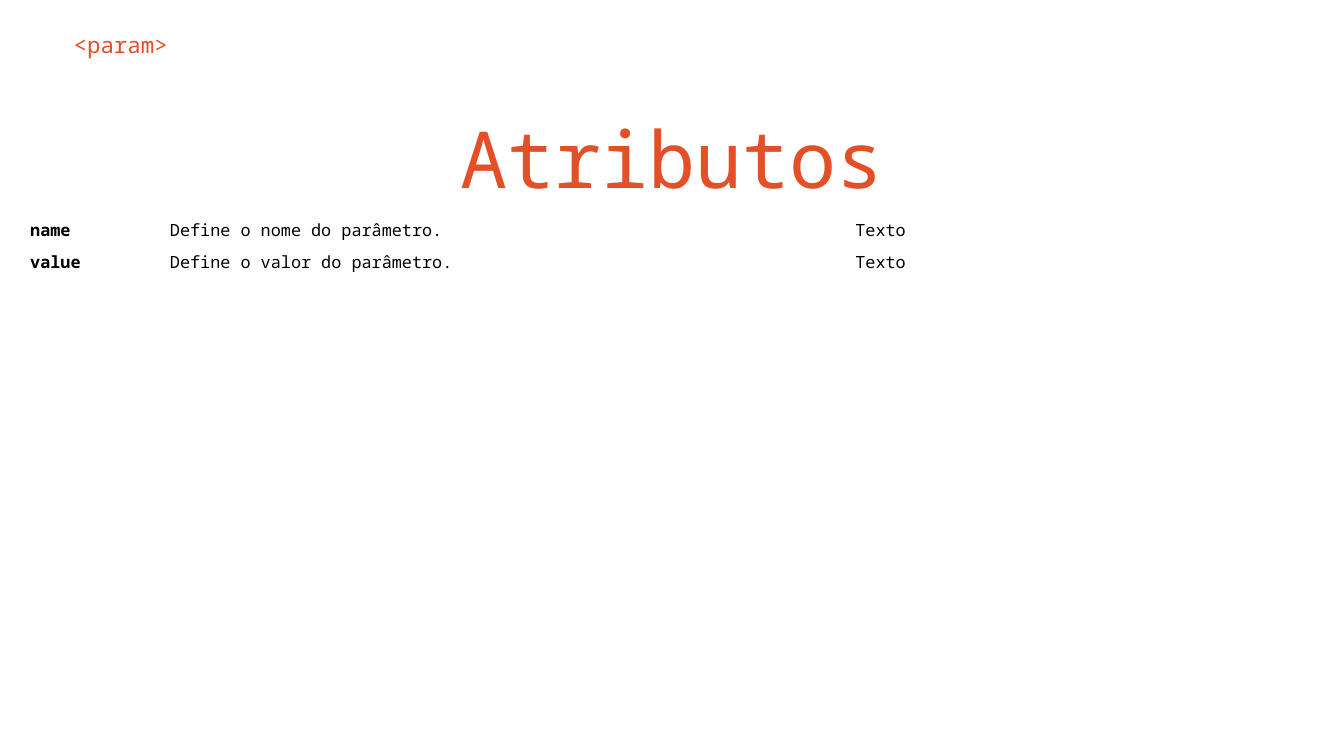
from dataclasses import dataclass

from pptx import Presentation
from pptx.dml.color import RGBColor
from pptx.enum.text import MSO_ANCHOR, PP_ALIGN
from pptx.util import Emu, Pt

PIXEL = 4572  # 200 px to the inch
FONT = "Noto Sans Mono"
COLORS = {"accent": "E34F26", "text": "000000"}


@dataclass(frozen=True)
class Heading:
    text: str
    left: int
    top: int
    width: int
    height: int
    size: int
    align: PP_ALIGN = PP_ALIGN.LEFT


@dataclass(frozen=True)
class Attribute:
    name: str
    description: str
    kind: str


HEADINGS = [
    Heading("<param>", 90, 26, 1836, 84, 12),
    Heading("Atributos", 143, 144, 1714, 172, 42, PP_ALIGN.CENTER),
]
ATTRIBUTES = [
    Attribute("name", "Define o nome do parâmetro.", "Texto"),
    Attribute("value", "Define o valor do parâmetro.", "Texto"),
]
COLUMN_WIDTHS = [208, 1020, 674]
ROW_HEIGHT = 40


def px(length: int) -> Emu:
    return Emu(length * PIXEL)


def write(frame, text: str, *, size: int, color: str, bold: bool = False,
          align: PP_ALIGN = PP_ALIGN.LEFT) -> None:
    para = frame.paragraphs[0]
    para.alignment = align
    span = para.add_run()
    span.text = text
    span.font.name = FONT
    span.font.size = Pt(size)
    span.font.bold = bold
    span.font.color.rgb = RGBColor.from_string(COLORS[color])


def set_margins(holder, margin: int) -> None:
    holder.margin_left = holder.margin_right = px(margin)
    holder.margin_top = holder.margin_bottom = px(margin)


def draw_heading(page, heading: Heading) -> None:
    box = page.shapes.add_textbox(px(heading.left), px(heading.top),
                                  px(heading.width), px(heading.height))
    frame = box.text_frame
    frame.word_wrap = True
    frame.vertical_anchor = MSO_ANCHOR.TOP
    set_margins(frame, 20)
    write(frame, heading.text, size=heading.size, color="accent", align=heading.align)


def draw_attributes(page, attributes: list[Attribute], left: int, top: int) -> None:
    table = page.shapes.add_table(
        len(attributes), len(COLUMN_WIDTHS), px(left), px(top),
        px(sum(COLUMN_WIDTHS)), px(ROW_HEIGHT * len(attributes))).table
    table.first_row = table.horz_banding = False
    for column, width in zip(table.columns, COLUMN_WIDTHS):
        column.width = px(width)
    for row, attribute in zip(table.rows, attributes):
        row.height = px(ROW_HEIGHT)
        texts = (attribute.name, attribute.description, attribute.kind)
        for index, (cell, text) in enumerate(zip(row.cells, texts)):
            cell.fill.background()
            set_margins(cell, 9)
            write(cell.text_frame, text, size=9, color="text", bold=index == 0)


def main() -> None:
    deck = Presentation()
    deck.slide_width, deck.slide_height = px(2000), px(1125)
    page = deck.slides.add_slide(deck.slide_layouts[6])

    # Tag name and title
    for heading in HEADINGS:
        draw_heading(page, heading)

    # Attribute table: name, description, kind of value
    draw_attributes(page, ATTRIBUTES, 36, 316)

    deck.save("out.pptx")


if __name__ == "__main__":
    main()
